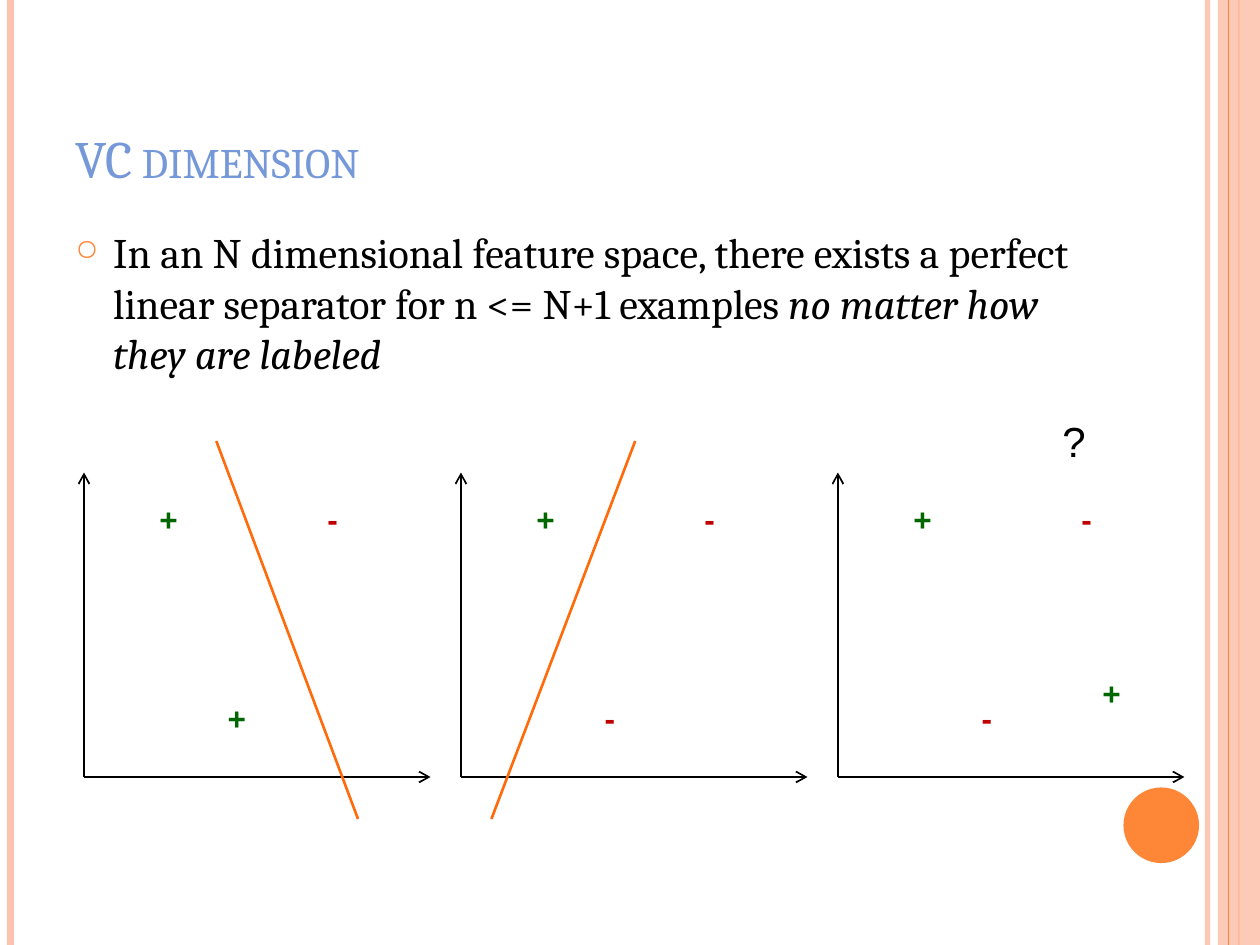
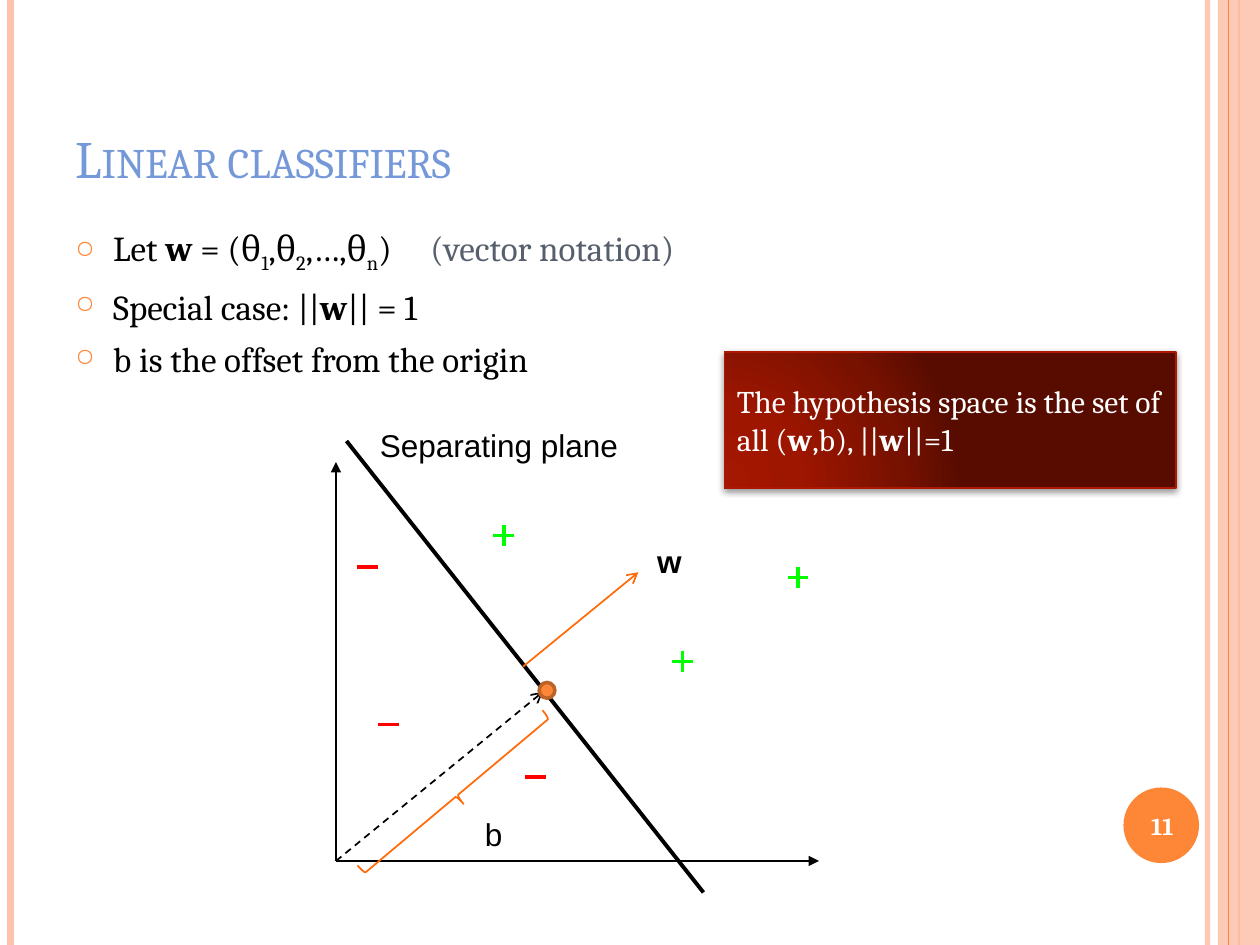
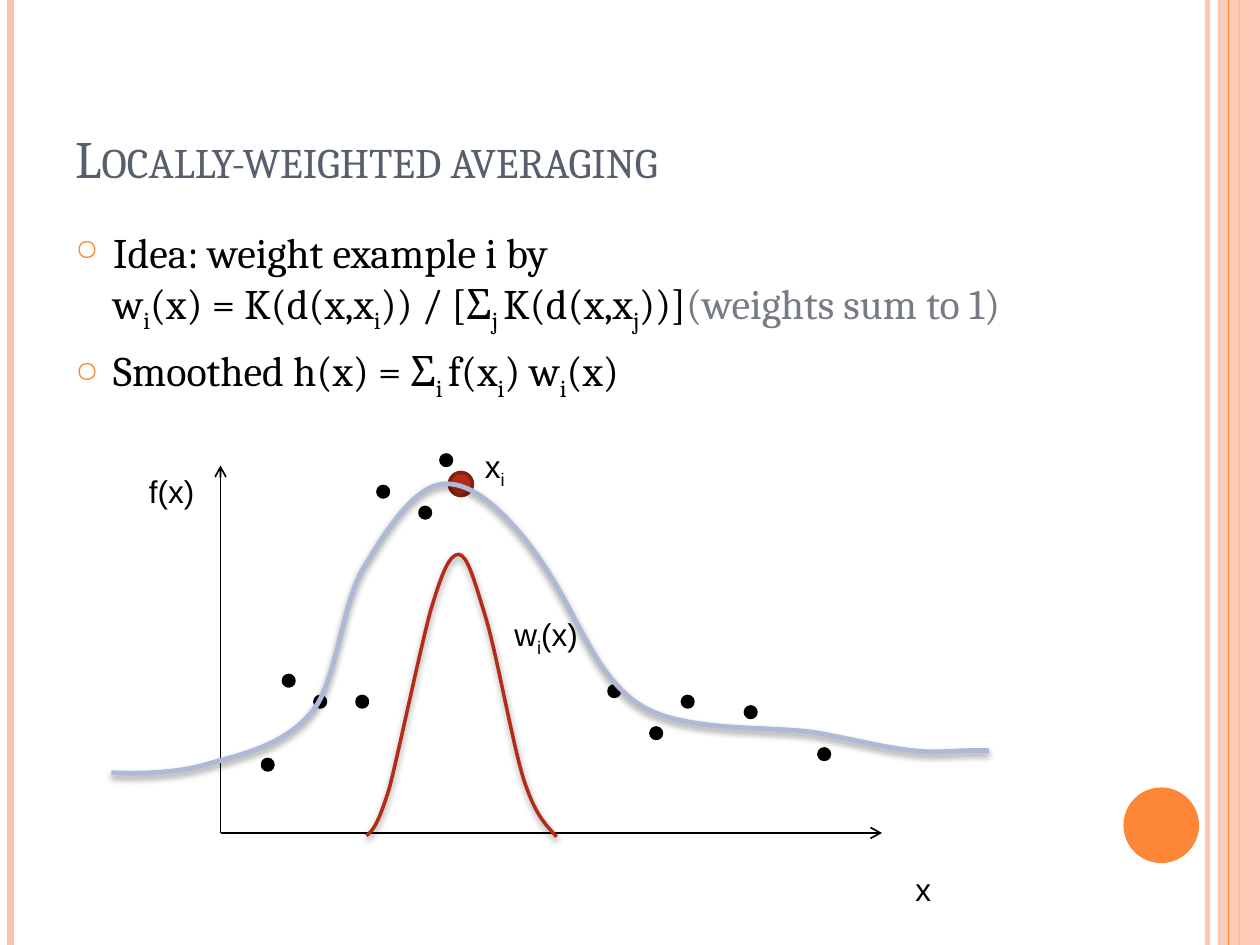
from dataclasses import dataclass
from typing import NamedTuple, Optional, Sequence, Union

from lxml.etree import SubElement
from pptx import Presentation
from pptx.dml.color import RGBColor
from pptx.enum.dml import MSO_LINE
from pptx.enum.shapes import MSO_CONNECTOR, MSO_SHAPE
from pptx.enum.text import MSO_ANCHOR, MSO_AUTO_SIZE, PP_ALIGN
from pptx.oxml import parse_xml
from pptx.oxml.ns import nsdecls, qn
from pptx.util import Emu, Inches, Pt

SLIDE_WIDTH, SLIDE_HEIGHT = Inches(10), Inches(7.5)
COLUMNS, ROWS = 120, 90
CELL = SLIDE_WIDTH / COLUMNS


@dataclass(frozen=True)
class Theme:
    """Colours, fonts and type sizes shared by the slides."""
    serif: str = "Cambria"
    sans: str = "Arial"
    black: str = "000000"
    white: str = "FFFFFF"
    orange: str = "FE8637"
    dark_orange: str = "BC6329"
    bright_orange: str = "FF6B0A"
    peach: str = "FEC3AE"
    blue: str = "7598D9"
    pale_blue: str = "AEBAD5"
    slate: str = "575F6D"
    gray: str = "777C84"
    brick: str = "B32C16"
    dark_brick: str = "842110"
    plus_green: str = "006600"
    minus_red: str = "C00000"
    lime: str = "00FF00"
    red: str = "FF0000"
    box_line: str = "AC1800"
    box_stops: tuple = ((0, "A41700"), (30, "9F1600"), (75, "771100"), (100, "580C00"))
    title_size: int = 30
    body_size: int = 24
    small_body_size: int = 20
    label_size: int = 18
    number_size: int = 14


THEME = Theme()


class Box(NamedTuple):
    """A rectangle in grid cells."""
    left: float
    top: float
    width: float
    height: float


class Point(NamedTuple):
    """A position in grid cells."""
    column: float
    row: float


class Span(NamedTuple):
    """A stretch of text that departs from its paragraph."""
    text: str
    bold: bool = False
    italic: bool = False
    subscript: bool = False
    color: Optional[str] = None


Spans = Sequence[Union[str, Span]]


@dataclass(frozen=True)
class TextStyle:
    """The look of a block of text."""
    size: int = THEME.label_size
    font: str = THEME.sans
    color: str = THEME.black
    bold: bool = False
    align: PP_ALIGN = PP_ALIGN.LEFT
    anchor: MSO_ANCHOR = MSO_ANCHOR.TOP
    small_caps: bool = False
    bulleted: bool = False
    grows: bool = False


@dataclass(frozen=True)
class Stroke:
    """The look of a line."""
    color: str = THEME.black
    width: float = 1
    arrow: Optional[str] = None
    dashed: bool = False
    opacity: int = 100


@dataclass(frozen=True)
class Plot:
    """One labelled scatter with an optional separator."""
    marks: Sequence[tuple]
    separator: Optional[tuple] = None


LABEL = TextStyle(grows=True)
BOLD_LABEL = TextStyle(bold=True, grows=True)
BODY = TextStyle(THEME.body_size, THEME.serif, bulleted=True)
SMALL_BODY = TextStyle(THEME.small_body_size, THEME.serif, bulleted=True)
AXIS = Stroke(arrow="arrow")
THIN_AXIS = Stroke(width=0.75, arrow="triangle")


def grid(cells: float) -> Emu:
    """Turn grid cells into a length."""
    return Emu(round(cells * CELL))


def bold(text: str) -> Span:
    """Make a bold span."""
    return Span(text, bold=True)


def sub(text: str) -> Span:
    """Make a subscript span."""
    return Span(text, subscript=True)


def set_opacity(element, percent: int) -> None:
    """Make the first colour inside an element translucent."""
    if percent < 100:
        color = next(element.iter(qn("a:srgbClr")))
        SubElement(color, qn("a:alpha"), val=str(percent * 1000))


def add_bullet(paragraph, tab: Optional[float]) -> None:
    """Give a paragraph a hanging ring bullet and perhaps a tab stop."""
    properties = paragraph._p.get_or_add_pPr()
    properties.set("marL", str(grid(3.6)))
    properties.set("indent", str(-grid(3.6)))
    color = SubElement(properties, qn("a:buClr"))
    SubElement(color, qn("a:srgbClr"), val=THEME.orange)
    SubElement(properties, qn("a:buSzPct"), val="70000")
    SubElement(properties, qn("a:buChar"), char="○")
    if tab is not None:
        tabs = SubElement(properties, qn("a:tabLst"))
        SubElement(tabs, qn("a:tab"), pos=str(grid(tab)), algn="l")


def add_span(paragraph, span: Union[str, Span], small_caps: bool) -> None:
    """Append a run or a line break to a paragraph."""
    if span == "\n":
        paragraph.add_line_break()
        return
    span = Span(span) if isinstance(span, str) else span
    run = paragraph.add_run()
    run.text = span.text
    if span.bold:
        run.font.bold = True
    if span.italic:
        run.font.italic = True
    if span.color:
        run.font.color.rgb = RGBColor.from_string(span.color)
    if span.subscript:
        run._r.get_or_add_rPr().set("baseline", "-25000")
    if small_caps:
        run._r.get_or_add_rPr().set("cap", "small")


def write(shape, paragraphs: Sequence[Spans], style: TextStyle,
          tab: Optional[float] = None) -> None:
    """Fill a shape with styled paragraphs."""
    frame = shape.text_frame
    frame.word_wrap = True
    frame.vertical_anchor = style.anchor
    frame.auto_size = MSO_AUTO_SIZE.SHAPE_TO_FIT_TEXT if style.grows else MSO_AUTO_SIZE.NONE
    for index, spans in enumerate(paragraphs):
        paragraph = frame.add_paragraph() if index else frame.paragraphs[0]
        if style.bulleted:
            has_tab = any("\t" in span for span in spans if isinstance(span, str))
            add_bullet(paragraph, tab if has_tab else None)
        if index:
            paragraph.space_before = Pt(6)
        paragraph.alignment = style.align
        paragraph.font.size = Pt(style.size)
        paragraph.font.name = style.font
        paragraph.font.bold = style.bold
        paragraph.font.color.rgb = RGBColor.from_string(style.color)
        for span in spans:
            add_span(paragraph, span, style.small_caps)


def draw_text(slide, box: Box, paragraphs: Sequence[Spans], style: TextStyle,
              tab: Optional[float] = None) -> None:
    """Place a text box."""
    write(slide.shapes.add_textbox(*map(grid, box)), paragraphs, style, tab)


def draw_line(shapes, start: Point, end: Point, stroke: Stroke) -> None:
    """Draw a straight connector."""
    connector = shapes.add_connector(MSO_CONNECTOR.STRAIGHT, *map(grid, (*start, *end)))
    connector.line.color.rgb = RGBColor.from_string(stroke.color)
    connector.line.width = Pt(stroke.width)
    if stroke.dashed:
        connector.line.dash_style = MSO_LINE.DASH
    properties = connector._element.spPr
    outline = properties.find(qn("a:ln"))
    set_opacity(outline, stroke.opacity)
    if stroke.arrow:
        SubElement(outline, qn("a:tailEnd"), type=stroke.arrow)
    SubElement(properties, qn("a:effectLst"))


def finish(shape, fill: Optional[str], stroke: Optional[Stroke]) -> None:
    """Set a shape's fill and outline and clear its shadow."""
    shape.shadow.inherit = False
    if fill:
        shape.fill.solid()
        shape.fill.fore_color.rgb = RGBColor.from_string(fill)
    else:
        shape.fill.background()
    if stroke:
        shape.line.color.rgb = RGBColor.from_string(stroke.color)
        shape.line.width = Pt(stroke.width)
    else:
        shape.line.fill.background()


def draw_shape(slide, kind: MSO_SHAPE, box: Box, fill: Optional[str] = None,
               stroke: Optional[Stroke] = None):
    """Draw a preset shape."""
    shape = slide.shapes.add_shape(kind, *map(grid, box))
    finish(shape, fill, stroke)
    return shape


def add_shadow(shape, opacity: int, distance: float) -> None:
    """Cast a soft shadow straight down."""
    effects = shape._element.spPr.find(qn("a:effectLst"))
    shadow = SubElement(effects, qn("a:outerShdw"), blurRad=str(Pt(4)),
                        dist=str(Pt(distance)), dir="5400000", rotWithShape="0")
    SubElement(shadow, qn("a:srgbClr"), val=THEME.black)
    set_opacity(shadow, opacity)


def add_radial_gradient(shape, stops: Sequence[tuple]) -> None:
    """Replace a shape's solid fill by a radial gradient."""
    marks = "".join(f'<a:gs pos="{share * 1000}"><a:srgbClr val="{color}"/></a:gs>'
                    for share, color in stops)
    gradient = parse_xml(
        f'<a:gradFill {nsdecls("a")}><a:gsLst>{marks}</a:gsLst><a:path path="circle">'
        '<a:fillToRect l="5000" t="100000" r="120000" b="10000"/></a:path></a:gradFill>')
    properties = shape._element.spPr
    properties.replace(properties.find(qn("a:solidFill")), gradient)


def draw_curve(slide, points: Sequence[tuple], stroke: Stroke, opacity: int,
               distance: float) -> None:
    """Draw a chain of cubic curves through a start and triples of points."""
    start, *controls = [tuple(map(grid, point)) for point in points]
    builder = slide.shapes.build_freeform(*start)
    builder.add_line_segments(controls, close=False)
    shape = builder.convert_to_shape()
    segments = list(shape._element.iter(qn("a:lnTo")))
    for first in range(0, len(segments), 3):
        curve = SubElement(segments[first].getparent(), qn("a:cubicBezTo"))
        for segment in segments[first:first + 3]:
            curve.append(segment[0])
            segment.getparent().remove(segment)
    finish(shape, None, stroke)
    add_shadow(shape, opacity, distance)


def draw_axes(slide, origin: Point, width: float, height: float, stroke: Stroke) -> None:
    """Draw a pair of arrows from an origin."""
    draw_line(slide.shapes, origin, Point(origin.column + width, origin.row), stroke)
    draw_line(slide.shapes, origin, Point(origin.column, origin.row - height), stroke)


def start_slide(presentation, title: str, title_color: str):
    """Add a slide with the side bands, the disc and a title."""
    slide = presentation.slides.add_slide(presentation.slide_layouts[6])

    def rule(column: float, stroke: Stroke) -> None:
        """Draw a full-height rule."""
        draw_line(slide.shapes, Point(column, 0), Point(column, ROWS), stroke)

    rule(115, Stroke(THEME.peach, 3, opacity=93))
    rule(1, Stroke(THEME.peach, 4.5))
    rule(118, Stroke(THEME.orange, 1.5))
    band = draw_shape(slide, MSO_SHAPE.RECTANGLE, Box(116, 0, 4, ROWS), THEME.peach)
    set_opacity(band._element.spPr, 87)
    rule(117, Stroke(THEME.orange, 0.75))
    draw_shape(slide, MSO_SHAPE.OVAL, Box(107, 75, 7.2, 7.2), THEME.orange)
    draw_text(slide, Box(6, 3.6, 98, 15), [[title]],
              TextStyle(THEME.title_size, THEME.serif, title_color,
                        anchor=MSO_ANCHOR.BOTTOM, small_caps=True))
    return slide


def draw_body(slide, paragraphs: Sequence[Spans], style: TextStyle,
              tab: Optional[float] = None) -> None:
    """Place the bulleted text below the title."""
    draw_text(slide, Box(6, 21, 98, 64), paragraphs, style, tab)


def build_dimension_slide(presentation) -> None:
    """Build the slide with three labelled scatters."""
    slide = start_slide(presentation, "VC dimension", THEME.blue)
    draw_body(slide, [[
        "In an N dimensional feature space, there exists a perfect linear separator "
        "for n <= N+1 examples ", Span("no matter how they are labeled", italic=True)]], BODY)
    upper_left, lower, upper_right, lower_right = (6, 47), (12.5, 66), (22, 47), (24, 63.6)
    plots = (
        Plot((("+", upper_left), ("+", lower), ("-", upper_right)), (12.6, 26.1)),
        Plot((("+", upper_left), ("-", lower), ("-", upper_right)), (16.6, 2.9)),
        Plot((("+", upper_left), ("-", lower), ("-", upper_right), ("+", lower_right))),
    )
    colors = {"+": THEME.plus_green, "-": THEME.minus_red}
    for index, plot in enumerate(plots):
        left = 8 + 35.9 * index
        draw_axes(slide, Point(left, 74), 33, 29, AXIS)
        for sign, (column, row) in plot.marks:
            draw_text(slide, Box(left + column, row, 4, 4.8), [[sign]],
                      TextStyle(color=colors[sign], bold=True, grows=True))
        if plot.separator:
            top, bottom = plot.separator
            draw_line(slide.shapes, Point(left + top, 42), Point(left + bottom, 78),
                      Stroke(THEME.bright_orange, 1.5))
    draw_text(slide, Box(100, 39, 5.8, 6), [["?"]], TextStyle(THEME.body_size, grows=True))


def build_classifier_slide(presentation) -> None:
    """Build the slide with the separating plane."""
    slide = start_slide(presentation, "Linear classifiers", THEME.blue)
    draw_body(slide, [
        ["Let ", bold("w"), " = (θ", sub("1"), ",θ", sub("2"), ",…,θ", sub("n"), ")\t",
         Span("(vector notation)", color=THEME.slate)],
        ["Special case: ||", bold("w"), "|| = 1"],
        ["b is the offset from the origin"],
    ], SMALL_BODY, tab=33.8)
    draw_text(slide, Box(106.7, 75.2, 8, 6.8), [["11"]],
              TextStyle(THEME.number_size, THEME.serif, THEME.white, True,
                        PP_ALIGN.CENTER, MSO_ANCHOR.MIDDLE))
    origin = Point(32, 82)
    draw_axes(slide, origin, 46, 38, THIN_AXIS)
    for column, row in ((35, 54), (37, 69), (51, 74)):
        draw_line(slide.shapes, Point(column - 1, row), Point(column + 1, row),
                  Stroke(THEME.red, 2.25))
    for column, row in ((48, 51), (65, 63), (76, 55)):
        plus = slide.shapes.add_group_shape()
        for across, down in ((1, 0), (0, -1)):
            draw_line(plus.shapes, Point(column - across, row - down),
                      Point(column + across, row + down), Stroke(THEME.lime, 2.25))
    draw_line(slide.shapes, Point(33, 42), Point(67, 85), Stroke(width=2.25))
    draw_text(slide, Box(35, 40, 31, 4.8), [["Separating plane"]], LABEL)
    draw_line(slide.shapes, Point(49.8, 63.5), Point(60.8, 54.5),
              Stroke(THEME.bright_orange, arrow="arrow"))
    draw_text(slide, Box(61.4, 51, 11.2, 4.8), [["w"]], BOLD_LABEL)
    draw_line(slide.shapes, origin, Point(51.7, 65.9), Stroke(arrow="arrow", dashed=True))
    draw_shape(slide, MSO_SHAPE.OVAL, Box(51.35, 65, 1.5, 1.5), THEME.orange,
               Stroke(THEME.dark_orange, 2))
    brace = draw_shape(slide, MSO_SHAPE.RIGHT_BRACE, Box(42.5, 64.3, 2, 23),
                       stroke=Stroke(THEME.bright_orange))
    brace.rotation = 50
    draw_text(slide, Box(45, 77, 4, 4.8), [["b"]], LABEL)
    callout = draw_shape(slide, MSO_SHAPE.RECTANGLE, Box(69, 33.5, 43, 13),
                         THEME.box_line, Stroke(THEME.box_line))
    add_radial_gradient(callout, THEME.box_stops)
    add_shadow(callout, 42, 1.6)
    write(callout, [["The hypothesis space is the set of all (", bold("w"), ",b), ||",
                     bold("w"), "||=1"]],
          TextStyle(font=THEME.serif, color=THEME.white, anchor=MSO_ANCHOR.MIDDLE))


def build_averaging_slide(presentation) -> None:
    """Build the slide with the smoothed curve and its kernel."""
    slide = start_slide(presentation, "Locally-weighted averaging", THEME.slate)
    draw_body(slide, [
        ["Idea: weight example i by", "\n", "w", sub("i"), "(x) = K(d(x,x", sub("i"),
         ")) / [Σ", sub("j "), "K(d(x,x", sub("j"), "))]",
         Span("(weights sum to 1)", color=THEME.gray)],
        ["Smoothed h(x) = Σ", sub("i "), "f(x", sub("i"), ") w", sub("i"), "(x)"],
    ], BODY)
    origin = Point(21, 79.33)
    draw_axes(slide, origin, 63, 35, AXIS)
    draw_text(slide, Box(86, 82.3, 4, 4.8), [["x"]], LABEL)
    draw_text(slide, Box(13, 44.4, 9, 4.8), [["f(x)"]], LABEL)
    samples = ((4, 7), (6, 15), (13, 13), (15, 33), (19, 31), (21, 36),
               (37, 14), (41, 10), (50, 12), (57, 8), (9, 13), (44, 13))
    for across, up in samples:
        draw_shape(slide, MSO_SHAPE.OVAL, Box(origin.column + across, origin.row - up, 1, 1),
                   THEME.black, Stroke(width=2))
    draw_shape(slide, MSO_SHAPE.OVAL, Box(42.8, 45, 2.2, 2.2), THEME.brick,
               Stroke(THEME.dark_brick, 2))
    kernel = ((34.9, 79.6), (35.5, 79.1), (36, 78.6), (37.1, 75), (38, 71.5), (40, 61.9),
              (41, 58.2), (42.1, 54.5), (42.8, 52.8), (43.7, 52.8), (44.5, 52.9),
              (45.1, 55), (46.2, 58.6), (47.3, 62.2), (48.8, 70.8), (49.9, 74.3),
              (51.1, 77.9), (52, 78.5), (53, 79.7))
    draw_curve(slide, kernel, Stroke(THEME.brick, 2), 40, 2)
    draw_text(slide, Box(45, 42, 7.4, 4.8), [["x", sub("i")]], LABEL)
    draw_text(slide, Box(47.8, 58, 10.6, 4.8), [["w", sub("i"), "(x)"]], LABEL)
    smoothed = ((10.6, 73.6), (13, 73.7), (16.9, 73.7), (20, 72.7), (23.3, 71.8),
                (27.2, 70.9), (29.8, 67.7), (32.2, 64.6), (32.5, 57.4), (34.8, 53.8),
                (37, 50.2), (39.8, 45.8), (42.8, 46.1), (45.7, 46.2), (49.6, 50.2),
                (52.4, 54.8), (55.3, 59.4), (57, 64.8), (61.2, 67.3), (65.5, 69.8),
                (73.4, 69.1), (77.8, 69.8), (82.1, 70.6), (84.2, 71.2), (87, 71.5),
                (89.8, 71.8), (90.5, 71.4), (94.2, 71.5))
    draw_curve(slide, smoothed, Stroke(THEME.pale_blue, 2.75), 42, 1.6)


def main() -> None:
    """Build and save the presentation."""
    presentation = Presentation()
    presentation.slide_width, presentation.slide_height = SLIDE_WIDTH, SLIDE_HEIGHT
    build_dimension_slide(presentation)
    build_classifier_slide(presentation)
    build_averaging_slide(presentation)
    presentation.save("out.pptx")


if __name__ == "__main__":
    main()
